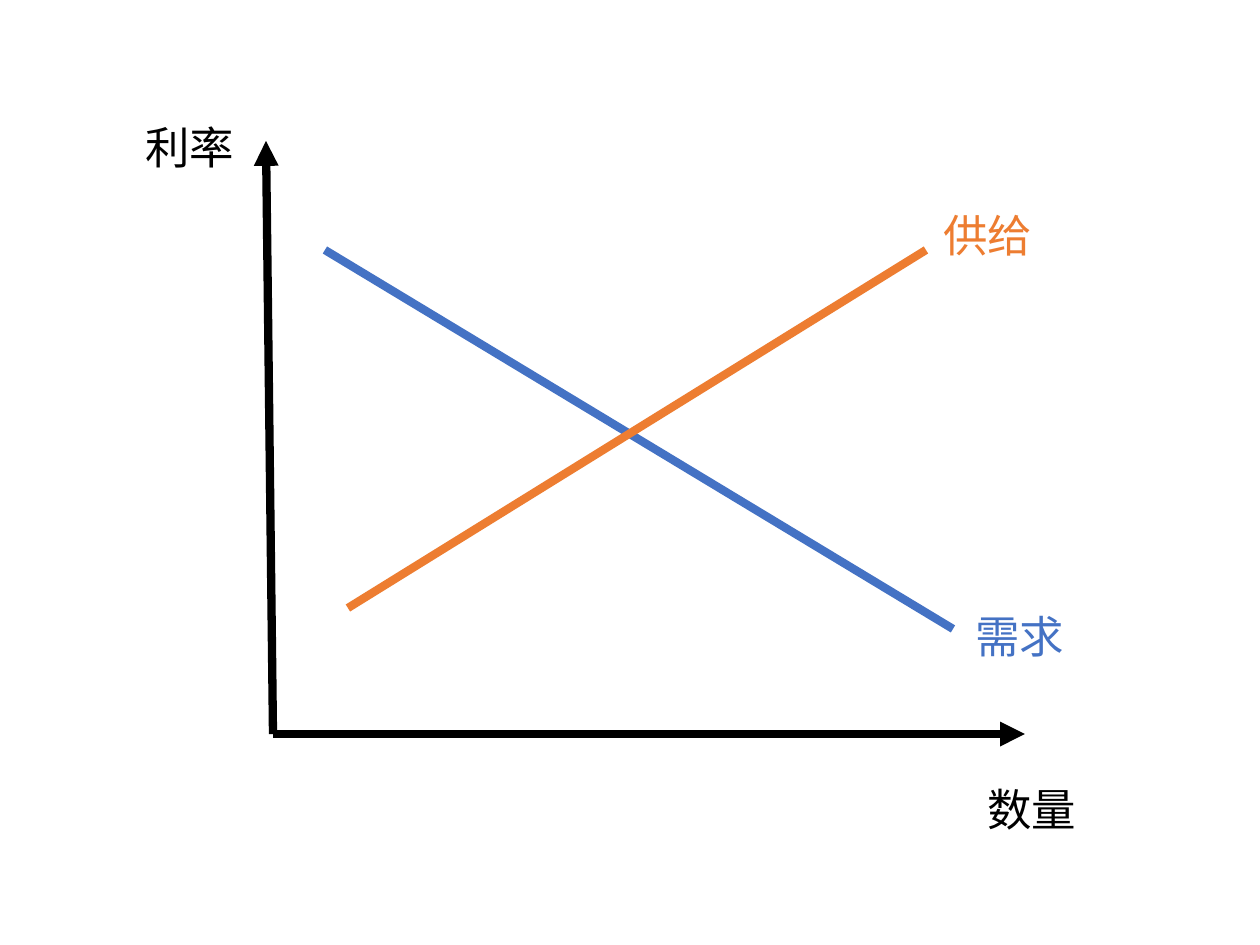
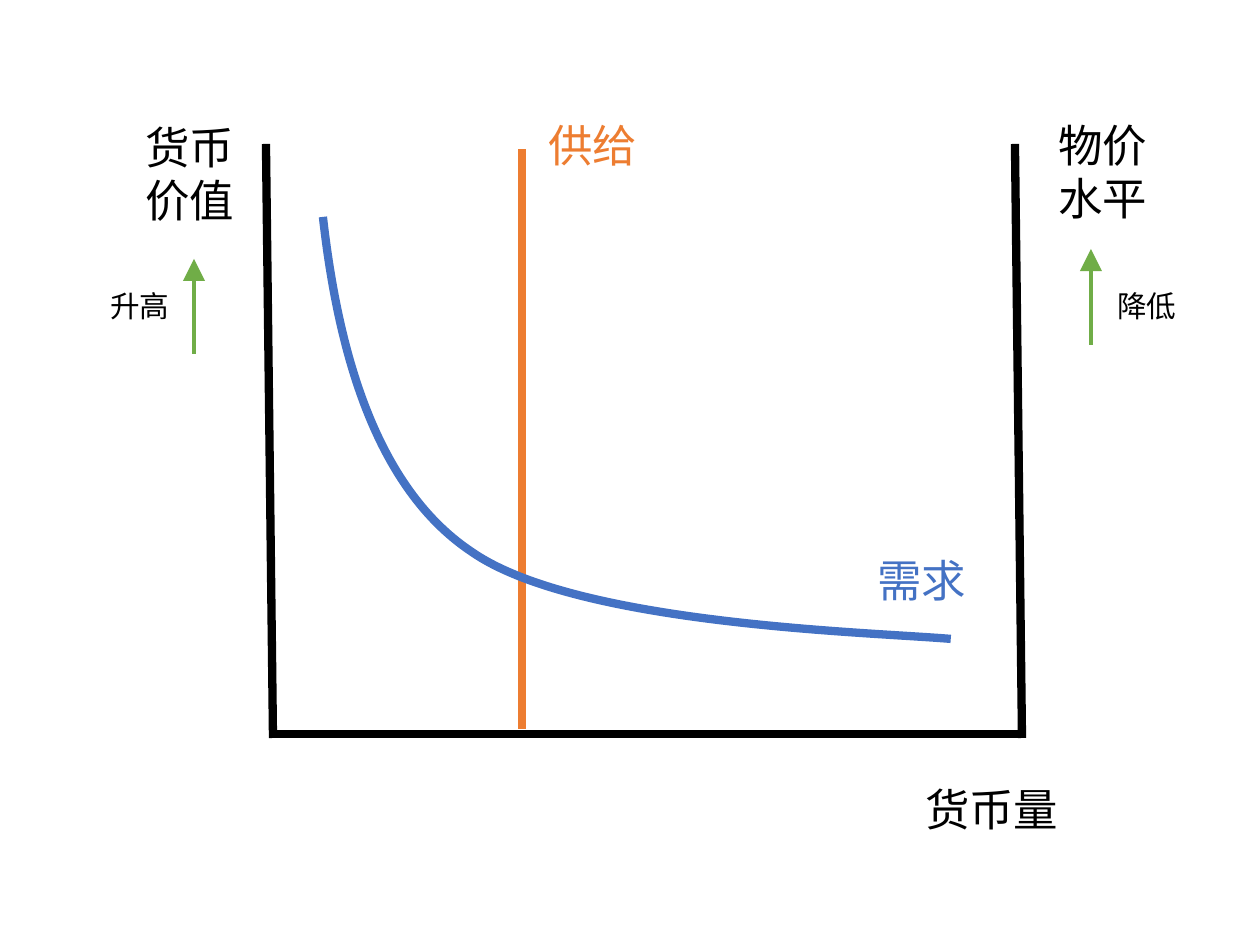
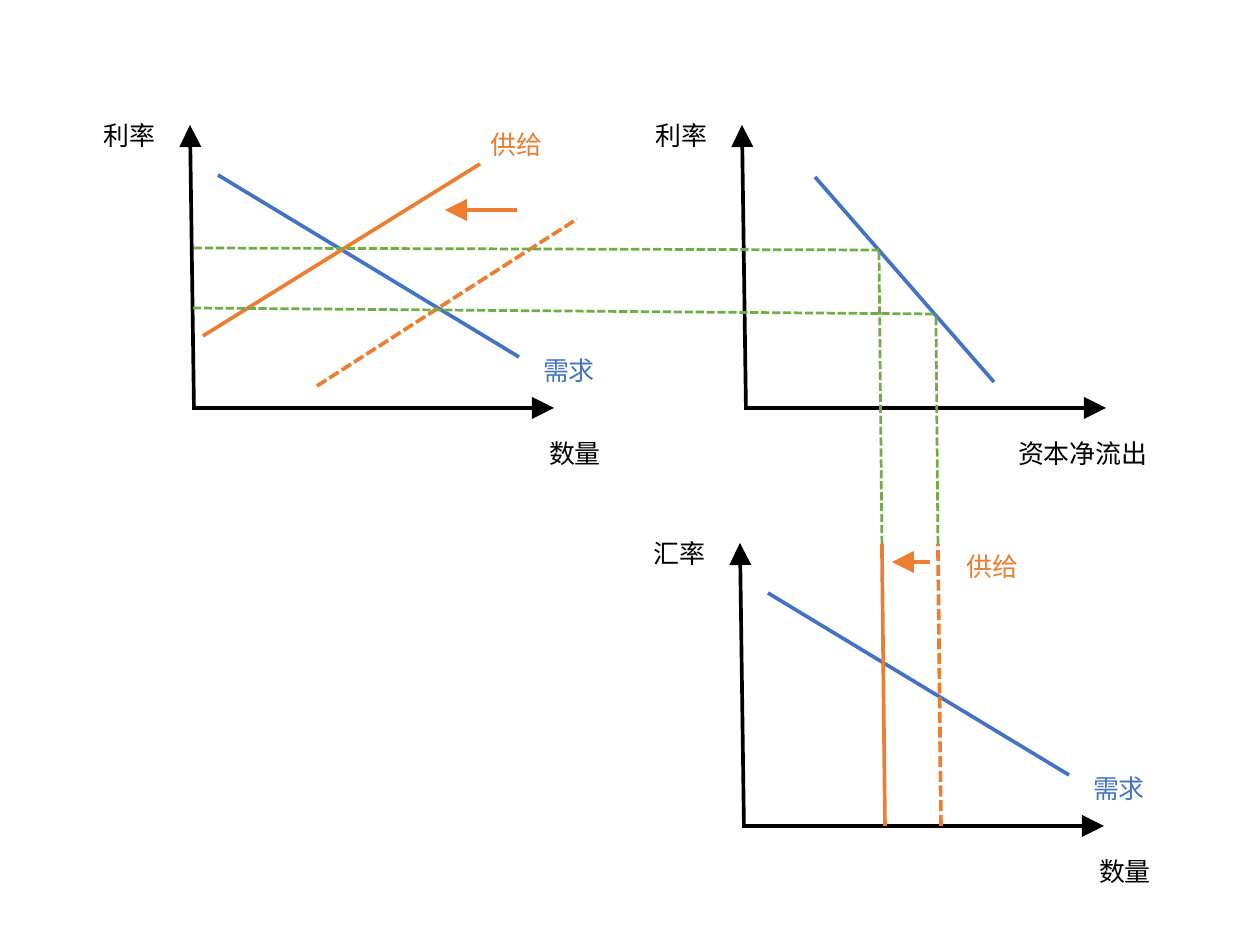
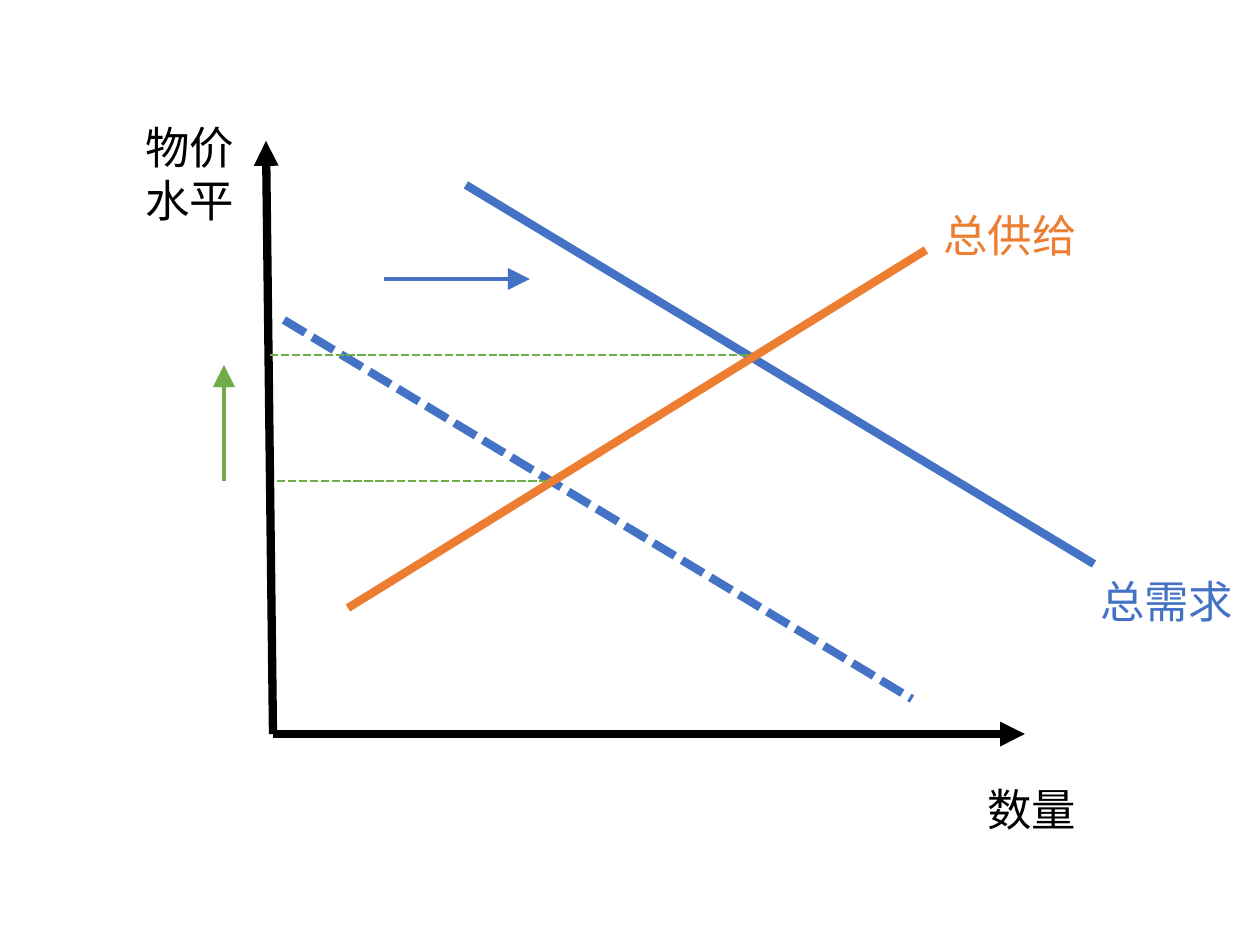
from dataclasses import dataclass

from lxml.etree import SubElement
from pptx import Presentation
from pptx.dml.color import RGBColor
from pptx.enum.dml import MSO_LINE
from pptx.enum.shapes import MSO_CONNECTOR
from pptx.enum.text import MSO_AUTO_SIZE as AutoSize
from pptx.oxml.ns import qn
from pptx.util import Pt

EMU_PER_PX = 3426
SLIDE_WIDTH, SLIDE_HEIGHT = 1260, 945


@dataclass(frozen=True)
class Theme:
    font: str = "Noto Sans CJK SC"
    axis: RGBColor = RGBColor.from_string("000000")
    demand: RGBColor = RGBColor.from_string("4472C4")
    supply: RGBColor = RGBColor.from_string("ED7D31")
    guide: RGBColor = RGBColor.from_string("70AD47")
    large: int = 12
    medium: int = 8
    small: int = 7
    thick: float = 2.25
    thin: float = 1
    fine: float = 0.75


THEME = Theme()

LARGE_X_AXIS = (273, 734), (1025, 734)
LARGE_Y_AXIS = (273, 734), (266, 141)
LARGE_DEMAND = (325, 250), (953, 629)
LARGE_SUPPLY = (348, 608), (926, 250)
SMALL_X_AXIS = (193, 408), (554, 408)
SMALL_Y_AXIS = (194, 410), (190, 125)
SMALL_DEMAND = (218, 175), (519, 357)


def px(length):
    return round(length * EMU_PER_PX)


def shifted(points, dx, dy):
    return [(x + dx, y + dy) for x, y in points]


def set_values(target, values):
    for name, value in values.items():
        setattr(target, name, value)


def style_line(line_format, color, width, dashed=False):
    line_format.color.rgb = color
    values = {"width": Pt(width)}
    if dashed:
        values["dash_style"] = MSO_LINE.SQUARE_DOT
    set_values(line_format, values)


def add_line(shapes, points, color, width, arrow=False, dashed=False):
    (x1, y1), (x2, y2) = points
    connector = shapes.add_connector(
        MSO_CONNECTOR.STRAIGHT, px(x1), px(y1), px(x2), px(y2))
    style_line(connector.line, color, width, dashed)
    properties = connector._element.spPr
    if arrow:
        SubElement(properties.find(qn("a:ln")), qn("a:tailEnd"), type="triangle")
    SubElement(properties, qn("a:effectLst"))


def add_label(shapes, text, position, width, color=THEME.axis,
              size=THEME.large, lines=1):
    left, top = position
    height = lines * size * 4.45 + 27
    box = shapes.add_textbox(px(left), px(top), px(width), px(height))
    frame = box.text_frame
    set_values(frame, {"word_wrap": True,
                       "auto_size": AutoSize.SHAPE_TO_FIT_TEXT})
    run = frame.paragraphs[0].add_run()
    run.text = text
    run.font.color.rgb = color
    set_values(run.font, {"name": THEME.font, "size": Pt(size)})
    SubElement(run.font._element, qn("a:ea"), typeface=THEME.font)


def add_curve(shapes, start, controls, color, width):
    """Draw cubic Bezier segments; every three control points make one."""
    builder = shapes.build_freeform(*start, scale=EMU_PER_PX)
    builder.add_line_segments(controls, close=False)
    curve = builder.convert_to_shape()
    curve.shadow.inherit = False
    curve.fill.background()
    style_line(curve.line, color, width)
    segments = list(curve._element.iter(qn("a:lnTo")))
    outline = segments[0].getparent()
    for first in range(0, len(segments), 3):
        bezier = SubElement(outline, qn("a:cubicBezTo"))
        for segment in segments[first:first + 3]:
            bezier.append(segment[0])
            outline.remove(segment)


def add_large_axes(shapes, y_name, lines=1):
    for axis in (LARGE_X_AXIS, LARGE_Y_AXIS):
        add_line(shapes, axis, THEME.axis, THEME.thick, arrow=True)
    add_label(shapes, y_name, (119, 107), 160, lines=lines)
    add_label(shapes, "数量", (961, 769), 144)


def add_small_axes(shapes, y_name, x_name, x_name_left, x_name_width, shift=(0, 0)):
    dx, dy = shift
    for axis in (SMALL_X_AXIS, SMALL_Y_AXIS):
        add_line(shapes, shifted(axis, dx, dy), THEME.axis, THEME.thin, arrow=True)
    add_label(shapes, y_name, (77 + dx, 106 + dy), 118, size=THEME.small)
    add_label(shapes, x_name, (x_name_left + dx, 424 + dy), x_name_width,
              size=THEME.small)


def add_small_demand(shapes, shift=(0, 0)):
    add_line(shapes, shifted(SMALL_DEMAND, *shift), THEME.demand, THEME.thin)
    [label_position] = shifted([(517, 341)], *shift)
    add_label(shapes, "需求", label_position, 112, THEME.demand, THEME.small)


def draw_loanable_funds(slide):
    shapes = slide.shapes.add_group_shape().shapes
    add_large_axes(shapes, "利率")
    add_line(shapes, LARGE_DEMAND, THEME.demand, THEME.thick)
    add_line(shapes, LARGE_SUPPLY, THEME.supply, THEME.thick)
    add_label(shapes, "供给", (917, 195), 155, THEME.supply)
    add_label(shapes, "需求", (949, 596), 144, THEME.demand)


def draw_money_market(slide):
    shapes = slide.shapes
    left_axis = (273, 738), (266, 144)
    for axis in (LARGE_X_AXIS, left_axis, shifted(left_axis, 749, 0)):
        add_line(shapes, axis, THEME.axis, THEME.thick)
    add_line(shapes, ((522, 729), (522, 149)), THEME.supply, THEME.thick)
    add_label(shapes, "货币价值", (119, 107), 160, lines=2)
    add_label(shapes, "物价水平", (1032, 105), 160, lines=2)
    add_label(shapes, "货币量", (899, 769), 206)
    add_label(shapes, "供给", (522, 105), 155, THEME.supply)
    add_label(shapes, "需求", (851, 540), 144, THEME.demand)
    for text, left, arrow in (("升高", 84, ((194, 354), (194, 259))),
                              ("降低", 1091, ((1091, 345), (1091, 249)))):
        add_line(shapes, arrow, THEME.guide, THEME.thin, arrow=True)
        add_label(shapes, text, (left, 275), 160, size=THEME.medium)
    add_curve(shapes, (323, 217),
              [(336, 331), (368, 483), (472, 552),
               (577, 625), (867, 632), (951, 639)],
              THEME.demand, THEME.thick)


def draw_open_economy(slide):
    shapes = slide.shapes
    funds = shapes.add_group_shape().shapes
    add_small_axes(funds, "利率", "数量", 523, 107)
    add_small_demand(funds)
    add_line(funds, ((317, 386), (577, 219)), THEME.supply, THEME.thin, dashed=True)
    add_label(funds, "供给", (464, 115), 118, THEME.supply, THEME.small)
    add_line(shapes, ((203, 336), (480, 164)), THEME.supply, THEME.thin)
    add_line(shapes, ((517, 210), (445, 210)), THEME.supply, THEME.thin, arrow=True)

    outflow = shapes.add_group_shape().shapes
    add_small_axes(outflow, "利率", "资本净流出", 440, 190, (552, 0))
    add_line(outflow, ((815, 177), (994, 382)), THEME.demand, THEME.thin)

    exchange = shapes.add_group_shape().shapes
    exchange_shift = (550, 418)
    add_small_axes(exchange, "汇率", "数量", 523, 107, exchange_shift)
    add_small_demand(exchange, exchange_shift)
    add_line(exchange, ((885, 826), (882, 544)), THEME.supply, THEME.thin)
    add_label(exchange, "供给", (940, 537), 118, THEME.supply, THEME.small)

    add_line(shapes, ((941, 826), (938, 544)), THEME.supply, THEME.thin, dashed=True)
    for guide in (((193, 308), (936, 314)), ((194, 248), (879, 250)),
                  ((938, 544), (936, 314)), ((882, 544), (879, 250))):
        add_line(shapes, guide, THEME.guide, THEME.fine, dashed=True)
    add_line(shapes, ((930, 562), (892, 562)), THEME.supply, THEME.thin, arrow=True)


def draw_aggregate_market(slide):
    shapes = slide.shapes
    add_line(shapes, shifted(LARGE_DEMAND, -41, 70), THEME.demand, THEME.thick,
             dashed=True)
    market = shapes.add_group_shape().shapes
    add_large_axes(market, "物价水平", lines=2)
    add_line(market, shifted(LARGE_DEMAND, 141, -65), THEME.demand, THEME.thick)
    add_line(market, LARGE_SUPPLY, THEME.supply, THEME.thick)
    add_label(market, "总供给", (917, 195), 200, THEME.supply)
    add_label(market, "总需求", (1074, 561), 190, THEME.demand)
    add_line(shapes, ((384, 279), (530, 279)), THEME.demand, THEME.thin, arrow=True)
    for guide in (((270, 355), (750, 355)), ((277, 481), (550, 481))):
        add_line(shapes, guide, THEME.guide, THEME.fine, dashed=True)
    add_line(shapes, ((224, 481), (224, 365)), THEME.guide, THEME.thin, arrow=True)


def main():
    presentation = Presentation()
    set_values(presentation, {"slide_width": px(SLIDE_WIDTH),
                              "slide_height": px(SLIDE_HEIGHT)})
    blank_layout = presentation.slide_layouts[6]
    for draw in (draw_loanable_funds, draw_money_market,
                 draw_open_economy, draw_aggregate_market):
        draw(presentation.slides.add_slide(blank_layout))
    presentation.save("out.pptx")


if __name__ == "__main__":
    main()
